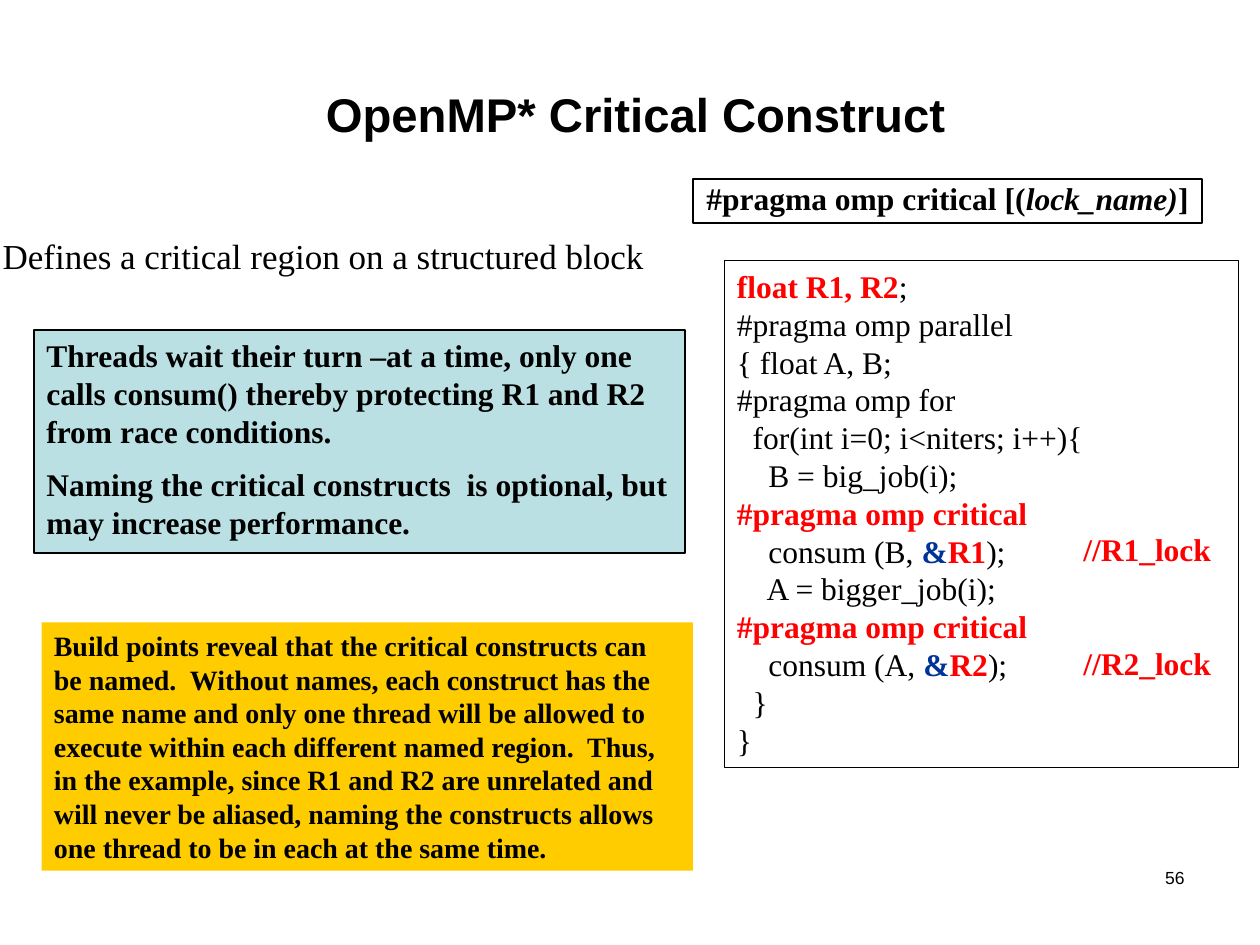
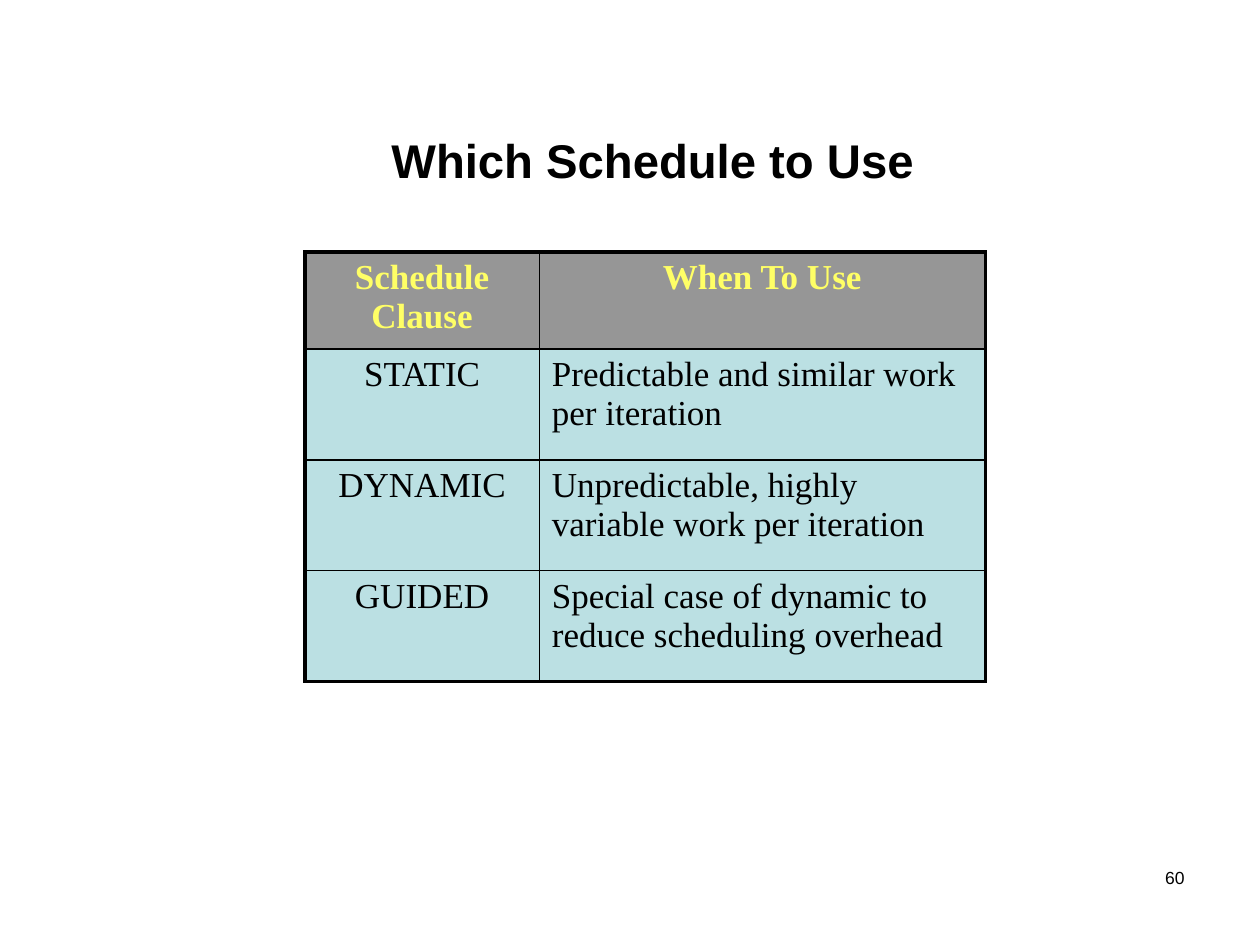
"""Build two OpenMP slides: the critical construct and choosing a loop schedule."""
from lxml.etree import SubElement
from pptx import Presentation
from pptx.dml.color import RGBColor
from pptx.enum.shapes import MSO_SHAPE
from pptx.enum.text import MSO_ANCHOR, MSO_AUTO_SIZE, PP_ALIGN
from pptx.oxml.ns import qn
from pptx.util import Inches, Pt

THEME = {
    "heading": "Arial", "body": "Times New Roman",
    "black": "000000", "white": "FFFFFF", "red": "FF0000", "blue": "003399",
    "teal": "BBE0E3", "gold": "FFCC00", "gray": "969696", "yellow": "FFFF66",
    "title_size": 27, "large": 20, "medium": 18, "small": 16, "number_size": 10,
    "hairline": 0.75, "thin": 1, "thick": 2.25,
}

PLAIN = {"color": "black", "bold": False}
BOLD = {"color": "black", "bold": True}
KEY = {"color": "red", "bold": True}
REF = {"color": "blue", "bold": True}
HEAD = {"color": "yellow", "bold": True}

CRITICAL = {"title": "OpenMP* Critical Construct", "title_box": (1.92, 0.59, 6.25, 0.62), "number": "56"}
SCHEDULE = {"title": "Which Schedule to Use", "title_box": (2.93, 1, 4.5, 0.53), "number": "60"}
NUMBER_BOX = (7.42, 6.83, 2.08, 0.5)

DEFINITION = "Defines a critical region on a structured block"
SYNTAX = [("#pragma omp critical [(", BOLD), ("lock_name)", {**BOLD, "italic": True}), ("]", BOLD)]
CODE = [
    [("float R1, R2", KEY), (";", PLAIN)],
    [("#pragma omp parallel", PLAIN)],
    [("{ float A, B;", PLAIN)],
    [("#pragma omp for", PLAIN)],
    [("  for(int i=0; i<niters; i++){", PLAIN)],
    [("    B = big_job(i);", PLAIN)],
    [("#pragma omp critical", KEY)],
    [("    consum (B, ", PLAIN), ("&", REF), ("R1", KEY), (");", PLAIN)],
    [("    A = bigger_job(i);", PLAIN)],
    [("#pragma omp critical", KEY)],
    [("    consum (A, ", PLAIN), ("&", REF), ("R2", KEY), (");", PLAIN)],
    [("  }", PLAIN)],
    [("}", PLAIN)],
]
CODE_BOX = (5.75, 2.07, 4.08, 4.02)
LOCK_TOP = 2.06
LINE_STEP = 0.3
LOCKS = {7: "//R1_lock", 10: "//R2_lock"}
THREADS = [
    "Threads wait their turn –at a time, only one calls consum() thereby protecting R1 and R2 from race conditions.",
    "Naming the critical constructs  is optional, but may increase performance.",
]
NAMING = (
    "Build points reveal that the critical constructs can be named.  Without names, each construct has the "
    "same name and only one thread will be allowed to execute within each different named region.  Thus, in "
    "the example, since R1 and R2 are unrelated and will never be aliased, naming the constructs allows one "
    "thread to be in each at the same time."
)
SCHEDULES = [
    ("Schedule Clause", "When To Use"),
    ("STATIC", "Predictable and similar work per iteration"),
    ("DYNAMIC", "Unpredictable, highly variable work per iteration"),
    ("GUIDED", "Special case of dynamic to reduce scheduling overhead"),
]
TABLE_BOX = (2.42, 2, 5.4, 3.41)
COL_WIDTHS = (1.86, 3.54)
ROW_HEIGHTS = (0.77, 0.88, 0.88, 0.88)


def rgb(name):
    return RGBColor.from_string(THEME[name])


def place(sp, box):
    for name, value in zip(("left", "top", "width", "height"), box):
        setattr(sp, name, Inches(value))


def write(tf, paragraphs, size, font="body", align=PP_ALIGN.LEFT, leading=None, gap=0):
    for i, runs in enumerate(paragraphs):
        p = tf.paragraphs[0] if i == 0 else tf.add_paragraph()
        fmt = {"alignment": align, "line_spacing": leading, "space_before": Pt(gap if i else 0)}
        for name, value in fmt.items():
            setattr(p, name, value)
        for text, style in runs:
            r = p.add_run()
            r.text = text
            fmt = {"name": THEME[font], "size": Pt(THEME[size]), "bold": style["bold"],
                   "italic": style.get("italic", False)}
            for name, value in fmt.items():
                setattr(r.font, name, value)
            r.font.color.rgb = rgb(style["color"])


def set_frame(tf, wrap=True, anchor=MSO_ANCHOR.TOP):
    for name, value in {"word_wrap": wrap, "vertical_anchor": anchor, "auto_size": MSO_AUTO_SIZE.NONE}.items():
        setattr(tf, name, value)
    return tf


def add_text(s, box, paragraphs, size, wrap=True, **fmt):
    sp = s.shapes.add_textbox(*map(Inches, box))
    write(set_frame(sp.text_frame, wrap), paragraphs, size, **fmt)


def add_panel(s, box, paragraphs, size, fill=None, line=None, wrap=True, anchor=MSO_ANCHOR.TOP, **fmt):
    sp = s.shapes.add_shape(MSO_SHAPE.RECTANGLE, *map(Inches, box))
    sp.shadow.inherit = False
    if fill:
        sp.fill.solid()
        sp.fill.fore_color.rgb = rgb(fill)
    else:
        sp.fill.background()
    if line:
        sp.line.color.rgb = rgb("black")
        sp.line.width = Pt(THEME[line])
    else:
        sp.line.fill.background()
    write(set_frame(sp.text_frame, wrap, anchor), paragraphs, size, **fmt)


def add_slide(prs, layout, head):
    s = prs.slides.add_slide(prs.slide_layouts[layout])
    title = s.shapes.title
    place(title, head["title_box"])
    write(set_frame(title.text_frame, anchor=MSO_ANCHOR.MIDDLE), [[(head["title"], BOLD)]],
          "title_size", font="heading", align=PP_ALIGN.CENTER)
    add_text(s, NUMBER_BOX, [[(head["number"], PLAIN)]], "number_size", font="heading", align=PP_ALIGN.RIGHT)
    return s


def add_border(cell, side, width):
    ln = SubElement(cell._tc.get_or_add_tcPr(), qn(f"a:ln{side}"), w=str(Pt(width)))
    SubElement(SubElement(ln, qn("a:solidFill")), qn("a:srgbClr"), val=THEME["black"])


def build_critical(prs):
    s = add_slide(prs, 1, CRITICAL)
    body = s.placeholders[1]
    place(body, (-0.08, 1.84, 5.5, 0.42))
    tf = set_frame(body.text_frame)
    pPr = tf.paragraphs[0]._p.get_or_add_pPr()
    pPr.set("marL", "0")
    pPr.set("indent", "0")
    SubElement(pPr, qn("a:buNone"))
    write(tf, [[(DEFINITION, PLAIN)]], "large", leading=0.94)

    add_panel(s, (5.5, 1.42, 4.04, 0.35), [SYNTAX], "medium", fill="white", line="hairline", wrap=False,
              anchor=MSO_ANCHOR.MIDDLE, align=PP_ALIGN.CENTER, leading=0.8)
    add_panel(s, CODE_BOX, CODE, "medium", line="hairline")
    add_panel(s, (0.27, 2.62, 5.17, 1.77), [[(text, BOLD)] for text in THREADS], "medium",
              fill="teal", line="thin", gap=9)
    for row, lock in LOCKS.items():
        add_text(s, (8.5, LOCK_TOP + row * LINE_STEP, 1.23, 0.4), [[(lock, KEY)]], "medium", wrap=False)
    add_panel(s, (0.33, 4.94, 5.17, 1.97), [[(NAMING, BOLD)]], "small", fill="gold")


def build_schedule(prs):
    s = add_slide(prs, 5, SCHEDULE)
    rows, cols = len(SCHEDULES), len(COL_WIDTHS)
    table = s.shapes.add_table(rows, cols, *map(Inches, TABLE_BOX)).table
    table.horz_banding = False
    for col, width in zip(table.columns, COL_WIDTHS):
        col.width = Inches(width)
    for row, height in zip(table.rows, ROW_HEIGHTS):
        row.height = Inches(height)
    for i, texts in enumerate(SCHEDULES):
        for j, text in enumerate(texts):
            cell = table.cell(i, j)
            outer = {"L": j == 0, "R": j == cols - 1, "T": i == 0, "B": i == rows - 1}
            for side, is_outer in outer.items():
                add_border(cell, side, THEME["thick" if is_outer else "thin"])
            cell.fill.solid()
            cell.fill.fore_color.rgb = rgb("teal" if i else "gray")
            align = PP_ALIGN.LEFT if i and j else PP_ALIGN.CENTER
            write(cell.text_frame, [[(text, PLAIN if i else HEAD)]], "large", align=align)


def main():
    prs = Presentation()
    prs.slide_width, prs.slide_height = Inches(10), Inches(7.5)
    build_critical(prs)
    build_schedule(prs)
    prs.save("out.pptx")


if __name__ == "__main__":
    main()
